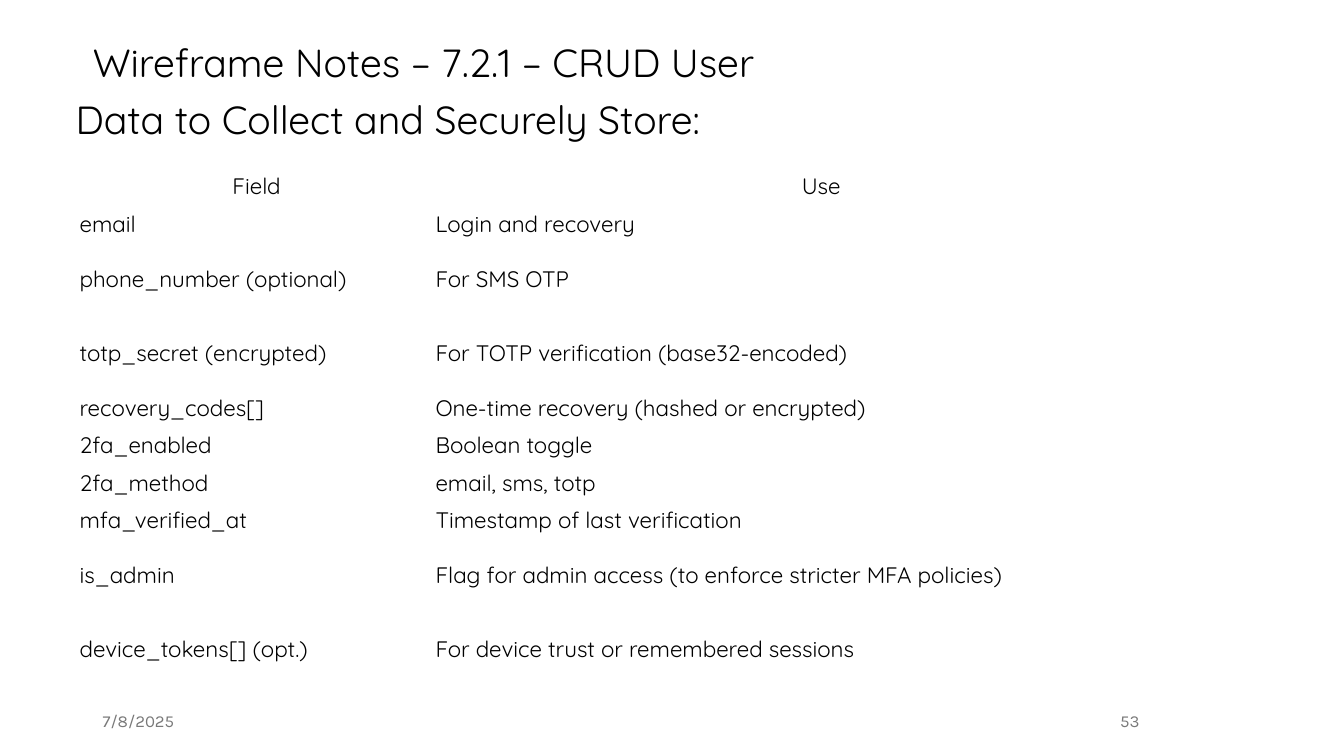
from pptx import Presentation
from pptx.dml.color import RGBColor
from pptx.enum.text import MSO_ANCHOR, MSO_AUTO_SIZE, PP_ALIGN
from pptx.util import Inches, Pt
from lxml import etree

TOP, MIDDLE = MSO_ANCHOR.TOP, MSO_ANCHOR.MIDDLE
LEFT, CENTER, RIGHT = PP_ALIGN.LEFT, PP_ALIGN.CENTER, PP_ALIGN.RIGHT
NO_AUTOFIT = MSO_AUTO_SIZE.NONE
DRAWING = "{http://schemas.openxmlformats.org/drawingml/2006/main}"

TITLE_AND_CONTENT = 1
COLORS = {"text": "000000", "footer": "797979", "background": "FFFFFF"}
HEADING_FONT, FOOTER_FONT = "Quicksand", "Karla"

COLUMN_WIDTHS = [3.53, 7.67]
SINGLE, DOUBLE = 0.37, 0.73
HEADER = ("Field", "Use")
FIELDS = [
    ("email", "Login and recovery", SINGLE),
    ("phone_number (optional)", "For SMS OTP", DOUBLE),
    ("totp_secret (encrypted)", "For TOTP verification (base32-encoded)", DOUBLE),
    ("recovery_codes[]", "One-time recovery (hashed or encrypted)", SINGLE),
    ("2fa_enabled", "Boolean toggle", SINGLE),
    ("2fa_method", "email, sms, totp", SINGLE),
    ("mfa_verified_at", "Timestamp of last verification", SINGLE),
    ("is_admin", "Flag for admin access (to enforce stricter MFA policies)", DOUBLE),
    ("device_tokens[] (opt.)", "For device trust or remembered sessions", DOUBLE),
]


def format_text(para, size, font, color, align=LEFT):
    para.alignment = align
    for span in para.runs:
        span.font.size = Pt(size)
        span.font.name = font
        span.font.bold = False
        span.font.color.rgb = RGBColor.from_string(COLORS[color])


def place(box, left, top, width, height):
    box.left, box.top = Inches(left), Inches(top)
    box.width, box.height = Inches(width), Inches(height)


def fill_heading(box, text):
    """Write a large, top-aligned line without a bullet in a placeholder."""
    frame = box.text_frame
    frame.text = text
    frame.word_wrap = True
    frame.auto_size = NO_AUTOFIT
    frame.vertical_anchor = TOP
    para = frame.paragraphs[0]
    para.line_spacing = 0.9
    para.space_before = Pt(0)
    properties = para._p.get_or_add_pPr()
    properties.set("marL", "0")
    properties.set("indent", "0")
    etree.SubElement(properties, DRAWING + "buNone")
    format_text(para, 28, HEADING_FONT, "text")


def add_footer(page, text, left, width, align):
    box = page.shapes.add_textbox(Inches(left), Inches(6.95), Inches(width), Inches(0.4))
    frame = box.text_frame
    frame.text = text
    frame.word_wrap = True
    frame.vertical_anchor = MIDDLE
    format_text(frame.paragraphs[0], 12, FOOTER_FONT, "footer", align)


def fill_cell(cell, text, align):
    cell.text = text
    cell.fill.background()
    cell.vertical_anchor = MIDDLE
    cell.margin_left = cell.margin_right = cell.margin_top = Inches(0.01)
    cell.margin_bottom = 0
    format_text(cell.text_frame.paragraphs[0], 16, HEADING_FONT, "text", align)


def add_field_table(page):
    rows = [(*HEADER, SINGLE), *FIELDS]
    heights = [height for *_, height in rows]
    frame = page.shapes.add_table(
        len(rows), len(HEADER), Inches(0.78), Inches(1.66),
        Inches(sum(COLUMN_WIDTHS)), Inches(sum(heights)))
    table = frame.table
    table.first_row = False
    table.horz_banding = False
    for column, width in zip(table.columns, COLUMN_WIDTHS):
        column.width = Inches(width)
    for index, (*texts, height) in enumerate(rows):
        table.rows[index].height = Inches(height)
        for cell, text in zip(table.rows[index].cells, texts):
            fill_cell(cell, text, LEFT if index else CENTER)


def main():
    deck = Presentation()
    deck.slide_width, deck.slide_height = Inches(13.33), Inches(7.5)
    page = deck.slides.add_slide(deck.slide_layouts[TITLE_AND_CONTENT])
    page.background.fill.solid()
    page.background.fill.fore_color.rgb = RGBColor.from_string(COLORS["background"])

    title, subtitle = page.shapes.title, page.placeholders[1]
    place(title, 0.82, 0.38, 11.5, 0.53)
    fill_heading(title, "Wireframe Notes – 7.2.1 – CRUD User")
    place(subtitle, 0.65, 0.95, 9.56, 0.88)
    fill_heading(subtitle, "Data to Collect and Securely Store:")

    add_field_table(page)
    add_footer(page, "7/8/2025", 0.92, 3, LEFT)
    add_footer(page, "53", 9.42, 1.98, RIGHT)
    deck.save("out.pptx")


if __name__ == "__main__":
    main()
